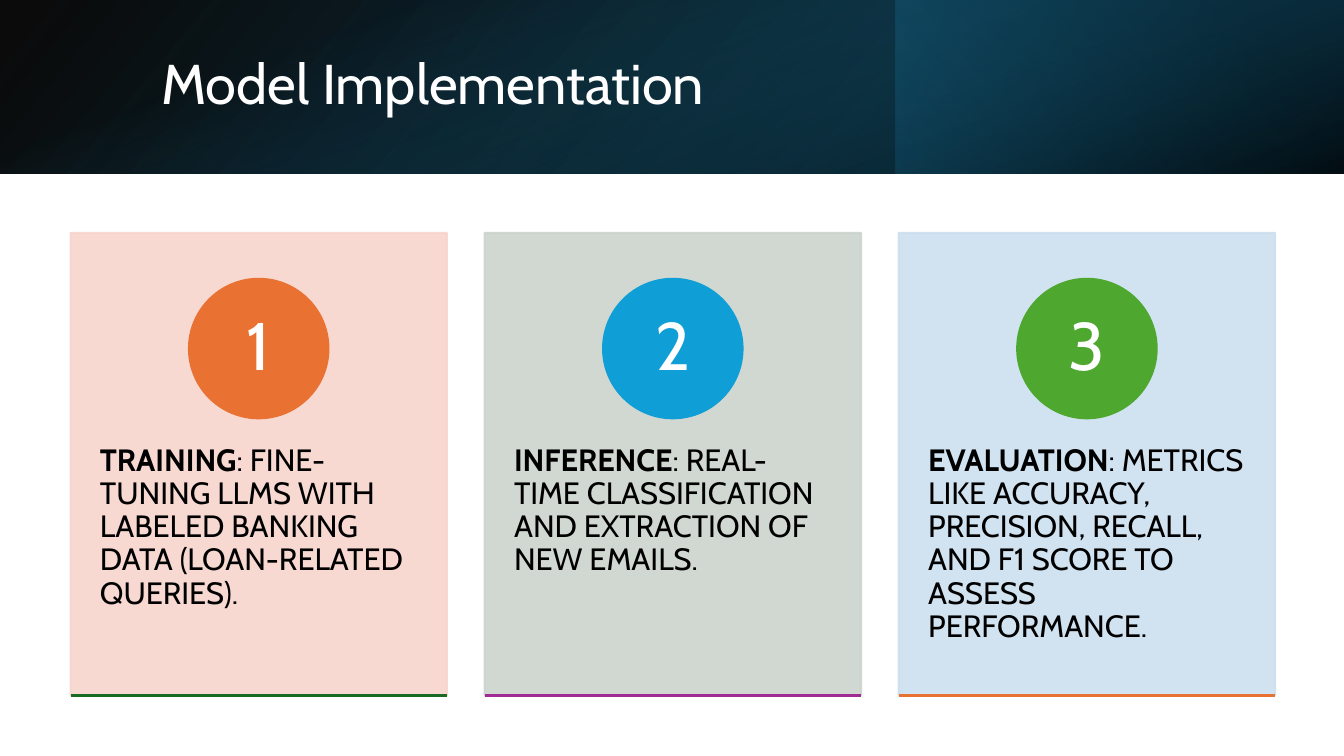
from dataclasses import dataclass

from lxml import etree
from pptx import Presentation
from pptx.dml.color import RGBColor
from pptx.enum import shapes, text
from pptx.oxml import ns
from pptx.util import Pt

COLORS = {
    "white": "FFFFFF", "black": "000000",
    "deep_teal": "104862", "night": "0B3041", "teal": "156082",
    "rose": "F7D5CE", "sage": "CCD4CD", "sky": "CCDFEF",
    "orange": "E97132", "blue": "0F9ED5", "green": "4EA72E",
    "forest": "196B24", "purple": "A02B93",
}
FONT = "Cabin"
SLIDE_W, SLIDE_H = 960, 540
BANNER_H = 124
CARD_LEFT, CARD_TOP, CARD_W, CARD_H = 50.4, 166.4, 268.8, 330.4
CARD_PITCH = 295.8
BADGE_TOP, BADGE_SIZE = 199.2, 99.6
BODY_TOP, BODY_H = 291.6, 198
OUTLINE = 1.5


@dataclass
class Stop:
    position: float
    color: str
    opacity: int


@dataclass
class BannerLayer:
    box: tuple[float, float, float, float]
    angle: int  # clockwise
    stops: tuple[Stop, Stop]
    rotation: int = 0
    mirrored: bool = False


@dataclass
class Step:
    term: str
    detail: str
    card: str
    badge: str
    rule: str


BANNER = [
    BannerLayer((0, 0, SLIDE_W, BANNER_H), 140,
                (Stop(0, "black", 96), Stop(1, "deep_teal", 100)), mirrored=True),
    BannerLayer((640, 0, 320, BANNER_H), 320,
                (Stop(0.19, "night", 68), Stop(1, "teal", 79)), rotation=180),
    BannerLayer(((SLIDE_W - BANNER_H) / 2, (BANNER_H - SLIDE_W) / 2, BANNER_H, SLIDE_W), 340,
                (Stop(0.23, "teal", 0), Stop(0.99, "black", 74)), rotation=90),
]
STEPS = [
    Step("TRAINING", ": FINE-TUNING LLMS WITH LABELED BANKING DATA (LOAN-RELATED QUERIES).",
         "rose", "orange", "forest"),
    Step("INFERENCE", ": REAL-TIME CLASSIFICATION AND EXTRACTION OF NEW EMAILS.",
         "sage", "blue", "purple"),
    Step("EVALUATION", ": METRICS LIKE ACCURACY, PRECISION, RECALL, AND F1 SCORE TO ASSESS PERFORMANCE.",
         "sky", "green", "orange"),
]


def rgb(name: str) -> RGBColor:
    return RGBColor.from_string(COLORS[name])


def set_opacity(parent, percent: int) -> None:
    """Set the alpha of every colour below an XML element."""
    for color in parent.iter(ns.qn("a:srgbClr")):
        etree.SubElement(color, ns.qn("a:alpha")).set("val", str(percent * 1000))


def add_plain_shape(slide, kind, left: float, top: float, width: float, height: float):
    shape = slide.shapes.add_shape(kind, Pt(left), Pt(top), Pt(width), Pt(height))
    shape.shadow.inherit = False
    return shape


def add_filled_shape(slide, kind, box: tuple, color: str):
    shape = add_plain_shape(slide, kind, *box)
    shape.fill.solid()
    shape.fill.fore_color.rgb = rgb(color)
    shape.line.color.rgb = rgb(color)
    shape.line.width = Pt(OUTLINE)
    return shape


def add_banner_layer(slide, layer: BannerLayer) -> None:
    band = add_plain_shape(slide, shapes.MSO_SHAPE.RECTANGLE, *layer.box)
    band.rotation = layer.rotation
    if layer.mirrored:
        band._element.spPr.xfrm.set("flipH", "1")
    band.line.fill.background()
    band.fill.gradient()
    band.fill.gradient_angle = 360 - layer.angle
    gradient_stops = band.fill.gradient_stops
    for target, stop in zip(gradient_stops, layer.stops):
        target.position = stop.position
        target.color.rgb = rgb(stop.color)
    for element, stop in zip(band._element.spPr.iter(ns.qn("a:gs")), layer.stops):
        set_opacity(element, stop.opacity)


def write(shape, runs: list[tuple[str, bool]], size: float, color: str,
          insets: tuple[float, float], anchor=text.MSO_ANCHOR.MIDDLE,
          align=text.PP_ALIGN.LEFT) -> None:
    """Fill a shape with one paragraph of (wording, bold) runs."""
    frame = shape.text_frame
    frame.word_wrap = True
    frame.vertical_anchor = anchor
    frame.margin_left = frame.margin_right = Pt(insets[0])
    frame.margin_top = frame.margin_bottom = Pt(insets[1])
    paragraph = frame.paragraphs[0]
    paragraph.alignment = align
    paragraph.line_spacing = 0.9
    for wording, bold in runs:
        run = paragraph.add_run()
        run.text = wording
        run.font.name = FONT
        run.font.size = Pt(size)
        run.font.bold = bold
        run.font.color.rgb = rgb(color)


def add_rule(slide, left: float, top: float, width: float, color: str) -> None:
    rule = slide.shapes.add_connector(
        shapes.MSO_CONNECTOR.STRAIGHT, Pt(left), Pt(top), Pt(left + width), Pt(top))
    rule.line.color.rgb = rgb(color)
    rule.line.width = Pt(OUTLINE)
    etree.SubElement(rule._element.spPr, ns.qn("a:effectLst"))


def add_step(slide, number: int, step: Step) -> None:
    left = CARD_LEFT + (number - 1) * CARD_PITCH
    card = add_filled_shape(slide, shapes.MSO_SHAPE.RECTANGLE,
                            (left, CARD_TOP, CARD_W, CARD_H), step.card)
    set_opacity(card._element.spPr, 90)

    body = slide.shapes.add_textbox(Pt(left), Pt(BODY_TOP), Pt(CARD_W), Pt(BODY_H))
    write(body, [(step.term, True), (step.detail, False)], 22, "black", (21, 26),
          anchor=text.MSO_ANCHOR.TOP)

    badge_left = left + (CARD_W - BADGE_SIZE) / 2
    badge = add_filled_shape(slide, shapes.MSO_SHAPE.OVAL,
                             (badge_left, BADGE_TOP, BADGE_SIZE, BADGE_SIZE), step.badge)
    write(badge, [(str(number), False)], 48, "white", (8, 1), align=text.PP_ALIGN.CENTER)

    add_rule(slide, left, CARD_TOP + CARD_H, CARD_W, step.rule)


def main() -> None:
    deck = Presentation()
    deck.slide_width, deck.slide_height = Pt(SLIDE_W), Pt(SLIDE_H)
    slide = deck.slides.add_slide(deck.slide_layouts[6])

    for layer in BANNER:
        add_banner_layer(slide, layer)
    title = slide.shapes.add_textbox(Pt(108), Pt(27.4), Pt(790.6), Pt(69))
    write(title, [("Model Implementation", False)], 40, "white", (7.2, 3.6))

    for number, step in enumerate(STEPS, start=1):
        add_step(slide, number, step)
    deck.save("out.pptx")


if __name__ == "__main__":
    main()
